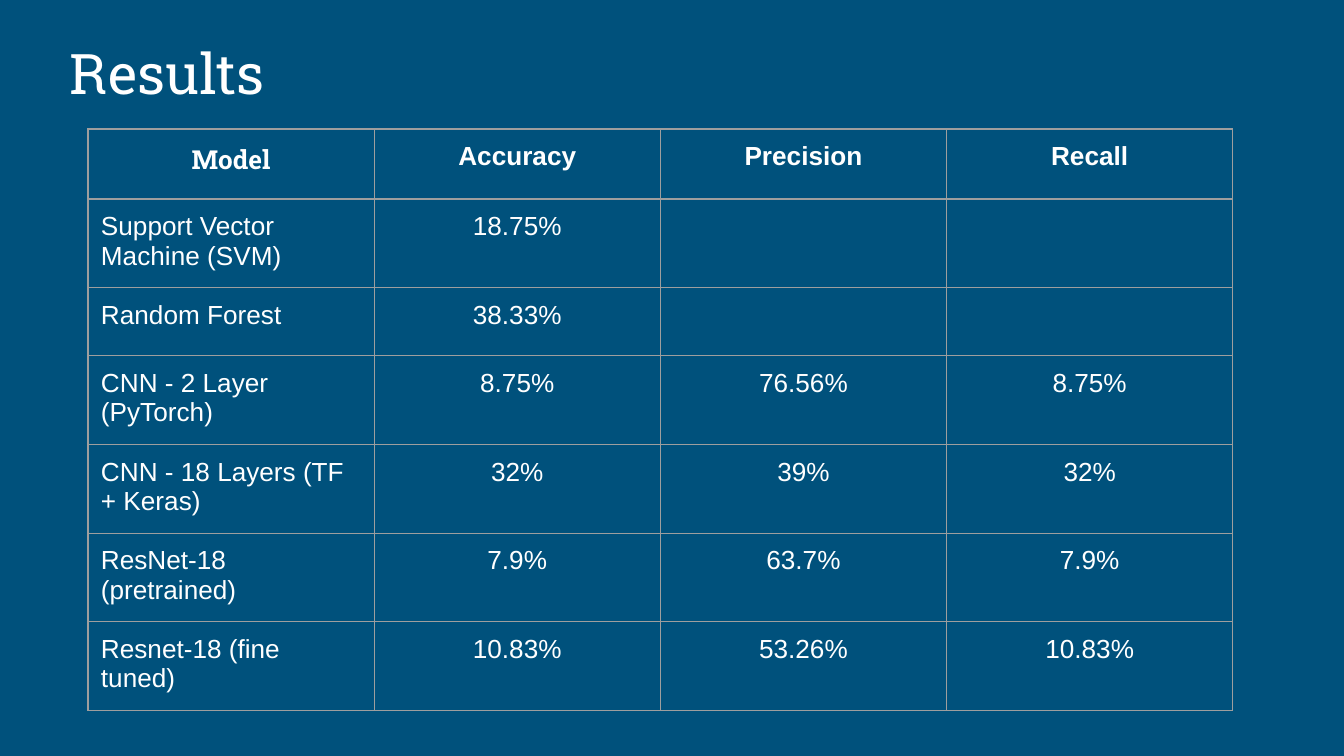
from lxml.etree import SubElement
from pptx import Presentation
from pptx.dml.color import RGBColor
from pptx.enum.text import MSO_ANCHOR as Anchor, PP_ALIGN as Align
from pptx.oxml import parse_xml
from pptx.oxml.ns import nsdecls, qn
from pptx.util import Pt

EMU_PER_PX = 914400 / 134.4
BACKGROUND = RGBColor(0x00, 0x51, 0x7C)
WHITE = RGBColor(0xFF, 0xFF, 0xFF)
BORDER = RGBColor(0x9E, 0x9E, 0x9E)
BODY_FONT, SLAB_FONT = "Arial", "Roboto Slab"
INSET = 13

HEADERS = ["Model", "Accuracy", "Precision", "Recall"]
RESULTS = [
    ["Support Vector Machine (SVM)", "18.75%", "", ""],
    ["Random Forest", "38.33%", "", ""],
    ["CNN - 2 Layer (PyTorch)", "8.75%", "76.56%", "8.75%"],
    ["CNN - 18 Layers (TF + Keras)", "32%", "39%", "32%"],
    ["ResNet-18 (pretrained)", "7.9%", "63.7%", "7.9%"],
    ["Resnet-18 (fine tuned)", "10.83%", "53.26%", "10.83%"],
]
ROW_HEIGHTS = [70, 88, 68, 85, 88, 87, 88]


def px(length):
    return round(length * EMU_PER_PX)


def set_values(target, values):
    for name, value in values.items():
        setattr(target, name, value)


def write(text_frame, text, align, **font_values):
    paragraph = text_frame.paragraphs[0]
    paragraph.alignment = align
    run = paragraph.add_run()
    run.text = text
    run.font.color.rgb = WHITE
    set_values(run.font, font_values)


def add_title(slide, text, left, top, width, height):
    box = slide.shapes.add_textbox(px(left), px(top), px(width), px(height))
    set_values(box.text_frame, {
        "word_wrap": True, "vertical_anchor": Anchor.BOTTOM,
        "margin_left": px(INSET), "margin_right": px(INSET),
        "margin_top": px(INSET), "margin_bottom": px(INSET),
    })
    write(box.text_frame, text, Align.LEFT, name=SLAB_FONT, size=Pt(30))


def add_borders(cell):
    properties = cell._tc.get_or_add_tcPr()
    for position, side in enumerate(("lnL", "lnR", "lnT", "lnB")):
        line = parse_xml(f'<a:{side} {nsdecls("a")} w="{Pt(0.75)}"/>')
        fill = SubElement(line, qn("a:solidFill"))
        SubElement(fill, qn("a:srgbClr"), val=str(BORDER))
        properties.insert(position, line)


def add_results_table(slide, left, top, width, height):
    """Share the width equally and the height in proportion to ROW_HEIGHTS."""
    rows = [HEADERS, *RESULTS]
    frame = slide.shapes.add_table(
        len(rows), len(HEADERS), px(left), px(top), px(width), px(height))
    table = frame.table
    set_values(table, {"first_row": False, "horz_banding": False})
    for column in table.columns:
        column.width = px(width / len(HEADERS))
    for row, row_height in zip(table.rows, ROW_HEIGHTS):
        row.height = px(height * row_height / sum(ROW_HEIGHTS))

    for row_index, values in enumerate(rows):
        is_header = row_index == 0
        for column_index, value in enumerate(values):
            is_model = column_index == 0
            cell = table.cell(row_index, column_index)
            cell.fill.background()
            add_borders(cell)
            set_values(cell, {
                "vertical_anchor": Anchor.TOP,
                "margin_left": px(INSET), "margin_right": px(INSET),
                "margin_top": px(INSET), "margin_bottom": px(INSET),
            })
            if value:
                write(cell.text_frame, value,
                      Align.LEFT if is_model and not is_header else Align.CENTER,
                      name=SLAB_FONT if is_model and is_header else BODY_FONT,
                      size=Pt(14), bold=is_header)


def main():
    presentation = Presentation()
    set_values(presentation, {"slide_width": px(1344), "slide_height": px(756)})
    slide = presentation.slides.add_slide(presentation.slide_layouts[6])
    slide.background.fill.solid()
    slide.background.fill.fore_color.rgb = BACKGROUND
    add_title(slide, "Results", 57, 18, 1230, 101)
    add_results_table(slide, 88, 129, 1145, 574)
    presentation.save("out.pptx")


if __name__ == "__main__":
    main()
